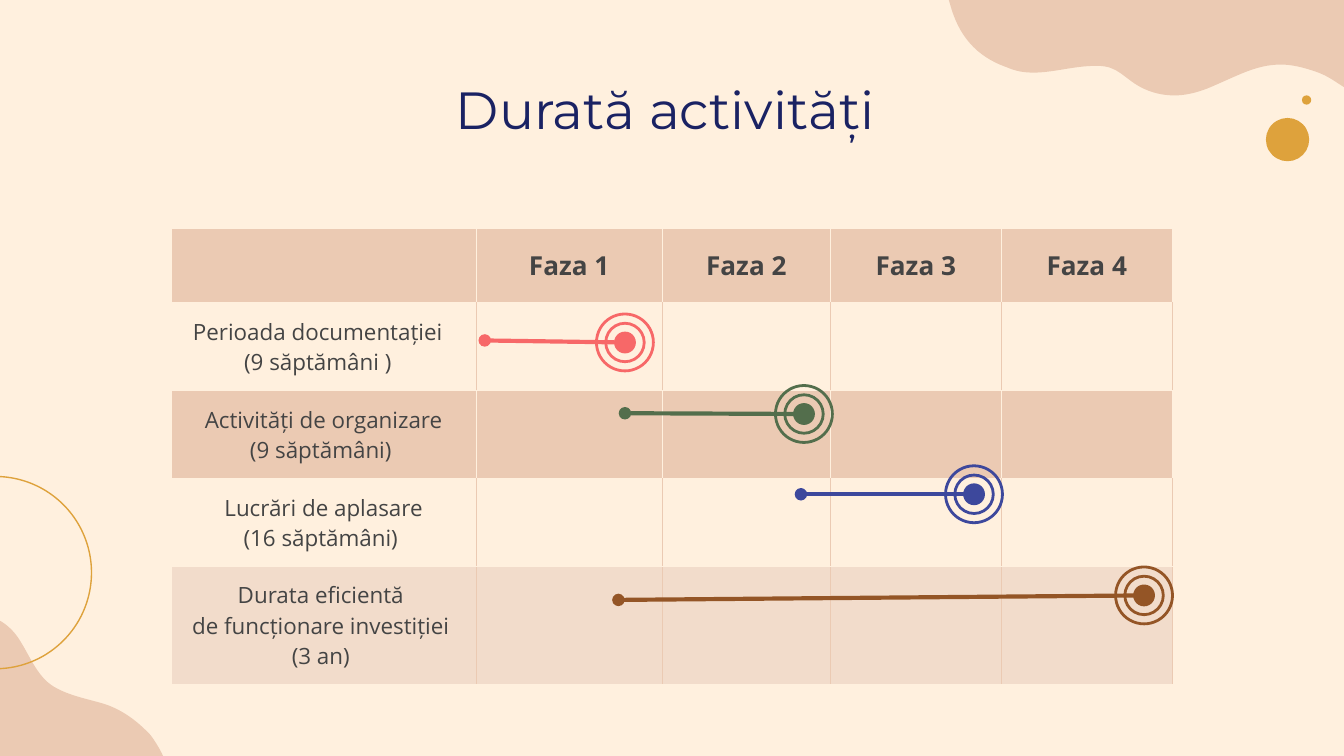
import math
from dataclasses import dataclass

from lxml import etree
from pptx import Presentation
from pptx import util as u
from pptx.dml.color import RGBColor
from pptx.enum import shapes, text
from pptx.oxml import ns

Pt = u.Pt
Point = tuple[float, float]


@dataclass(frozen=True)
class Theme:
    cream: str = "FFF0DE"
    tan: str = "EBCAB3"
    pale: str = "F2DCCB"
    gold: str = "DEA23C"
    navy: str = "1A2263"
    grey: str = "444444"
    title_font: str = "Montserrat"
    body_font: str = "Open Sans"
    title_size: float = 28
    header_size: float = 14
    body_size: float = 12
    thin: float = 0.75
    ring: float = 1.5
    thick: float = 2.25


@dataclass(frozen=True)
class Blob:
    box: tuple[float, float, float, float]
    turn: float
    start: Point
    segments: list[tuple[Point, ...]]


@dataclass(frozen=True)
class Activity:
    label: str
    height: float
    fill: str | None
    divider: str
    color: str
    start: Point
    target: Point
    indent: float = 0


THEME = Theme()
COLUMNS = [163.5, 99.6, 90.2, 91.4, 91.8]
HEADERS = ["", "Faza 1", "Faza 2", "Faza 3", "Faza 4"]
HEADER_HEIGHT = 40
MARGIN = 7.2

ACTIVITIES = [
    Activity("Perioada documentației \n(9 săptămâni ) ", 47.1, None, THEME.tan,
             "F76868", (259.7, 182.4), (334.8, 183.5), 3.2),
    Activity("Activități de organizare\n(9 săptămâni) ", 47.1, THEME.tan, THEME.cream,
             "536E4C", (334.8, 221.4), (430.7, 221.8)),
    Activity(" Lucrări de aplasare \n(16 săptămâni) ", 47.1, None, THEME.tan,
             "3D489C", (429.1, 264.8), (521.8, 264.8)),
    Activity("Durata eficientă \nde funcționare investiției \n(3 an) ", 63.4, THEME.pale,
             THEME.tan, "945526", (331.3, 321.4), (612.9, 319)),
]

BLOBS = [
    Blob((-44.6, 347, 154.1, 82.1), 60, (80.6, 393.8), [
        ((79.9, 393.1), (79.2, 392.4), (78.5, 391.7)),
        ((72, 385.2), (64.8, 380.2), (56.2, 377.3)),
        ((46.8, 374.4), (37.4, 373), (28.8, 367.9)),
        ((19.4, 362.2), (15.8, 350.6), (9.4, 341.3)),
        ((5.8, 336.2), (0, 331.2), (-6.5, 330.5)),
        ((-20.2, 329), (-25.2, 342), (-25.2, 353.5)),
        ((-25.2, 367.2), (-18.7, 380.2), (-12.2, 392.4)),
        ((-6.5, 403.2), (1.4, 413.3), (10.1, 421.2)),
        ((22.3, 432.7), (38.9, 444.2), (55.4, 448.6)),
        ((67.7, 452.2), (82.1, 447.8), (88.6, 437)),
        ((96.5, 423.4), (89.3, 405.4), (80.6, 393.8)),
    ]),
    Blob((508.3, 0, 213.1, 51.1), 0, (721.4, 0), [
        ((721.4, 47.5),),
        ((716.4, 44.6), (712.1, 41), (706.3, 38.9)),
        ((698.4, 36), (691.9, 34.6), (686.2, 34.6)),
        ((672.5, 34.6), (662.4, 41), (646.6, 47.5)),
        ((640.8, 49.7), (635, 51.1), (629.3, 51.1)),
        ((622.8, 51.1), (617, 49.7), (611.3, 46.8)),
        ((601.9, 41.8), (599, 35.3), (588.2, 35.3)),
        ((587.5, 35.3), (587.5, 35.3), (586.8, 35.3)),
        ((575.3, 35.3), (564.5, 38.9), (553.7, 38.9)),
        ((548.6, 38.9), (544.3, 38.2), (539.3, 36)),
        ((522.7, 30.2), (513.4, 18.7), (509, 2.2)),
        ((508.3, 1.4), (508.3, 0.7), (508.3, 0)),
    ]),
]


def rgb(color: str) -> RGBColor:
    return RGBColor.from_string(color)


def paint(shape, fill: str | None = None, line: str | None = None, width: float = 0) -> None:
    shape.shadow.inherit = False
    if fill:
        shape.fill.solid()
        shape.fill.fore_color.rgb = rgb(fill)
    else:
        shape.fill.background()
    if line:
        shape.line.color.rgb = rgb(line)
        shape.line.width = Pt(width)
    else:
        shape.line.fill.background()


def add_blob(page, blob: Blob) -> None:
    left, top, width, height = blob.box
    angle = math.radians(-blob.turn)

    def local(point: Point) -> tuple[int, int]:
        x, y = point[0] - left - width / 2, point[1] - top - height / 2
        return (Pt(x * math.cos(angle) - y * math.sin(angle) + width / 2),
                Pt(x * math.sin(angle) + y * math.cos(angle) + height / 2))

    builder = page.shapes.build_freeform(*local(blob.start))
    builder.add_line_segments([local(segment[-1]) for segment in blob.segments], close=True)
    shape = builder.convert_to_shape()
    shape.left, shape.top, shape.width, shape.height = map(Pt, blob.box)
    shape.rotation = blob.turn
    outline = next(shape._element.iter(ns.qn("a:path")))
    outline.set("w", str(Pt(width)))
    outline.set("h", str(Pt(height)))
    for child in list(outline):
        outline.remove(child)
    for index, points in enumerate([(blob.start,), *blob.segments]):
        kind = "moveTo" if index == 0 else "cubicBezTo" if len(points) == 3 else "lnTo"
        step = etree.SubElement(outline, ns.qn(f"a:{kind}"))
        for x, y in map(local, points):
            etree.SubElement(step, ns.qn("a:pt"), x=str(x), y=str(y))
    etree.SubElement(outline, ns.qn("a:close"))
    paint(shape, THEME.tan)


def add_circle(parent, center: Point, size: float, fill: str | None = None,
               line: str | None = None, width: float = 0) -> None:
    x, y = center
    circle = parent.shapes.add_shape(shapes.MSO_SHAPE.OVAL, Pt(x - size / 2),
                                     Pt(y - size / 2), Pt(size), Pt(size))
    paint(circle, fill, line, width)


def write(frame, words: str, font: str, size: float, color: str, bold: bool = False) -> None:
    frame.text = words
    for para in frame.paragraphs:
        para.alignment = text.PP_ALIGN.CENTER
        para.font.name = font
        para.font.size = Pt(size)
        para.font.bold = bold
        para.font.color.rgb = rgb(color)


def style_cell(cell, fill: str | None, left: str, right: str) -> None:
    properties = cell._tc.get_or_add_tcPr()
    for side, color in zip("LRTB", (left, right, THEME.cream, THEME.cream)):
        border = etree.SubElement(properties, ns.qn(f"a:ln{side}"), w=str(Pt(THEME.thin)))
        solid = etree.SubElement(border, ns.qn("a:solidFill"))
        etree.SubElement(solid, ns.qn("a:srgbClr"), val=color)
    if fill:
        cell.fill.solid()
        cell.fill.fore_color.rgb = rgb(fill)
    else:
        cell.fill.background()
    cell.margin_left = cell.margin_right = cell.margin_top = cell.margin_bottom = Pt(MARGIN)


def add_schedule(page) -> None:
    heights = [HEADER_HEIGHT] + [activity.height for activity in ACTIVITIES]
    table = page.shapes.add_table(len(heights), len(COLUMNS), Pt(91.7), Pt(122.3),
                                  Pt(sum(COLUMNS)), Pt(sum(heights))).table
    table.first_row = table.horz_banding = False
    for column, width in zip(table.columns, COLUMNS):
        column.width = Pt(width)
    for row, height in zip(table.rows, heights):
        row.height = Pt(height)
    for index, header in enumerate(HEADERS):
        cell = table.cell(0, index)
        style_cell(cell, THEME.tan, THEME.cream, THEME.cream)
        cell.vertical_anchor = text.MSO_ANCHOR.MIDDLE
        write(cell.text_frame, header, THEME.body_font, THEME.header_size, THEME.grey, True)
    for number, activity in enumerate(ACTIVITIES, 1):
        for index in range(len(COLUMNS)):
            left = activity.divider if index else THEME.cream
            style_cell(table.cell(number, index), activity.fill, left, activity.divider)
        cell = table.cell(number, 0)
        cell.margin_right = Pt(MARGIN + activity.indent)
        write(cell.text_frame, activity.label, THEME.body_font, THEME.body_size, THEME.grey)


def add_duration(page, activity: Activity) -> None:
    line = page.shapes.add_connector(shapes.MSO_CONNECTOR.STRAIGHT,
                                     *map(Pt, activity.target + activity.start))
    line.line.color.rgb = rgb(activity.color)
    line.line.width = Pt(THEME.thick)
    etree.SubElement(line.line._get_or_add_ln(), ns.qn("a:tailEnd"), type="oval")
    etree.SubElement(line._element.spPr, ns.qn("a:effectLst"))
    target = page.shapes.add_group_shape()
    for size in (30.5, 20.6):
        add_circle(target, activity.target, size, line=activity.color, width=THEME.ring)
    add_circle(target, activity.target, 11.7, activity.color)


def add_title(page) -> None:
    title = page.shapes.title
    title.left, title.top, title.width, title.height = map(Pt, (56.2, 35.4, 607.6, 46))
    frame = title.text_frame
    frame.word_wrap = True
    frame.auto_size = text.MSO_AUTO_SIZE.NONE
    frame.vertical_anchor = text.MSO_ANCHOR.MIDDLE
    write(frame, "Durată activități ", THEME.title_font, THEME.title_size, THEME.navy)


def main() -> None:
    deck = Presentation()
    deck.slide_width, deck.slide_height = Pt(720), Pt(405)
    page = deck.slides.add_slide(deck.slide_layouts[5])
    page.background.fill.solid()
    page.background.fill.fore_color.rgb = rgb(THEME.cream)
    for blob in BLOBS:
        add_blob(page, blob)
    add_circle(page, (700, 53.6), 5, THEME.gold)
    add_circle(page, (689.8, 74.8), 23.2, THEME.gold)
    add_circle(page, (-2.5, 306.8), 103, line=THEME.gold, width=THEME.thin)
    add_schedule(page)
    add_title(page)
    for activity in ACTIVITIES:
        add_duration(page, activity)
    deck.save("out.pptx")


if __name__ == "__main__":
    main()
